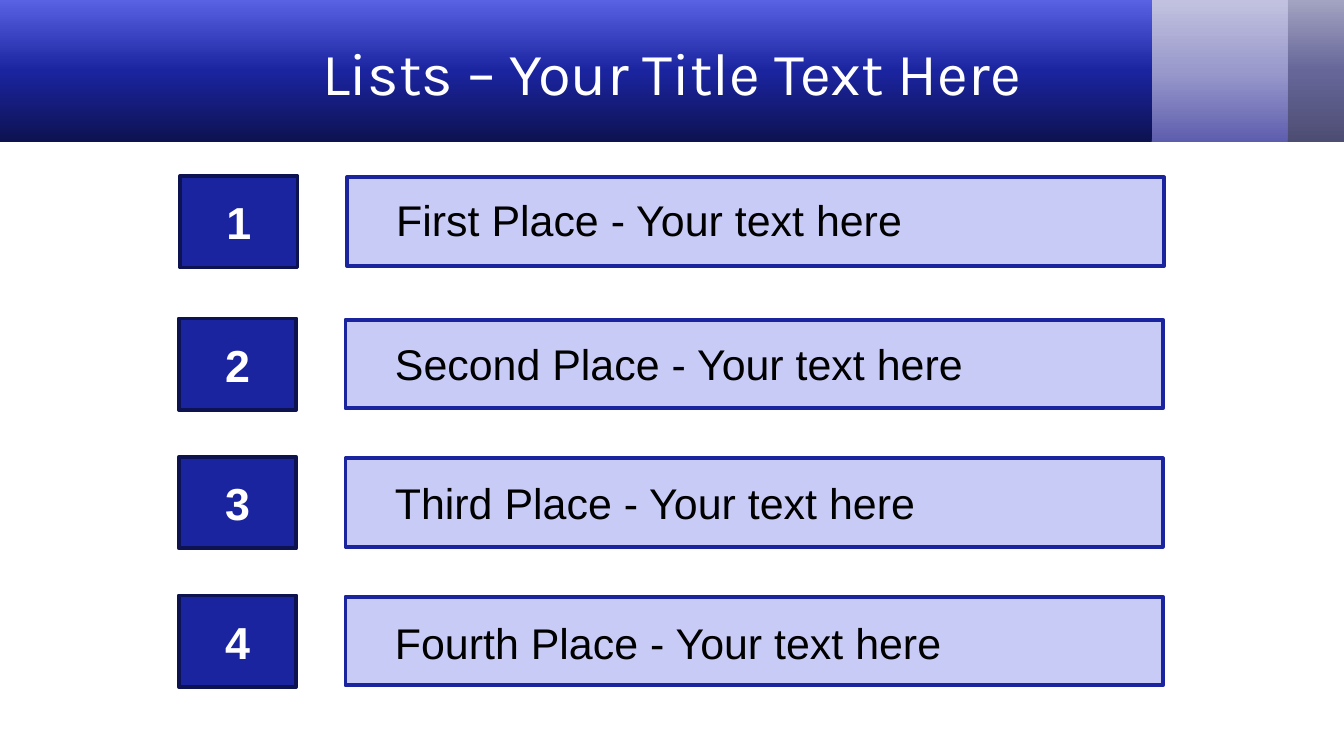
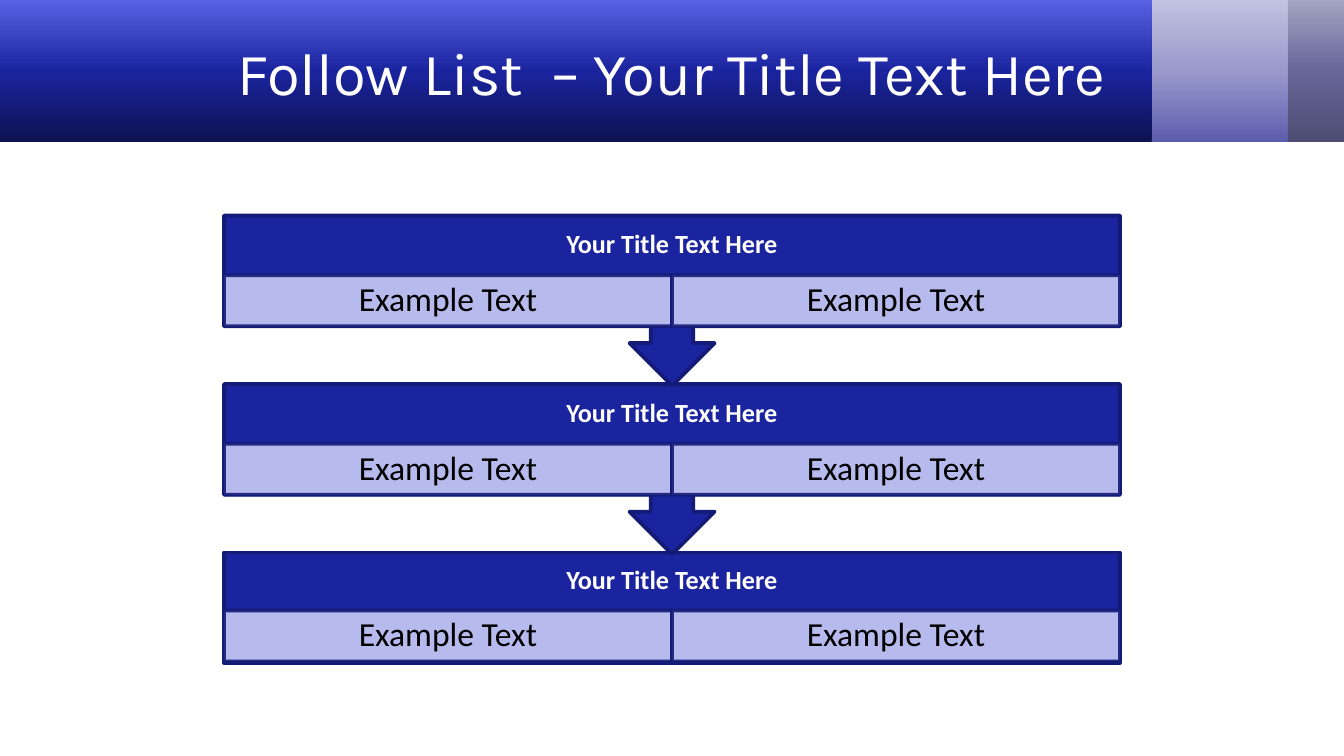
from copy import deepcopy

from lxml.etree import SubElement
from pptx import Presentation
from pptx.dml.color import RGBColor
from pptx.enum.shapes import MSO_SHAPE
from pptx.enum.text import MSO_ANCHOR, MSO_AUTO_SIZE, PP_ALIGN
from pptx.oxml.ns import qn
from pptx.util import Pt

COLORS = {
    "white": "FFFFFF", "black": "000000",
    "blue": "1B249F", "navy": "0D1250", "edge": "141B77", "pale": "C8CBF6",
}

# Title bands, back to front: left, width, gradient from bottom to top
BAND_HEIGHT = 76.3
BANDS = [
    (679, 41.8, ("4D4D73", "666699", "A3A3C2")),
    (614.2, 75.6, ("5D5DAE", "9999CC", "C2C2E0")),
    (0, 617, ("0D1250", "1B249F", "5962E3")),
]

LIST_TITLE = "Lists – Your Title Text Here"
# Text, left and top of the number, top of the text
PLACES = [
    ("First Place - Your text here", 96.5, 94.3, 100.1),
    ("Second Place - Your text here", 95.8, 170.6, 177.1),
    ("Third Place - Your text here", 95.8, 244.8, 252),
    ("Fourth Place - Your text here", 95.8, 319, 326.9),
]

FOLLOW_TITLE = "Follow List  – Your Title Text Here"
STEPS = [("Your Title Text Here", ("Example Text", "Example Text"))] * 3
STEP_LEFT, STEP_TOP, STEP_WIDTH, STEP_PITCH = 120, 115.4, 480, 90.3
CALLOUT_HEIGHT, BODY_HEIGHT, CELL_HEIGHT = 91.2, 59.2, 27.4


def rgb(name):
    return RGBColor.from_string(COLORS[name])


def add_box(slide, shape_type, box, fill, line):
    sp = slide.shapes.add_shape(shape_type, *map(Pt, box))
    sp.shadow.inherit = False
    sp.fill.solid()
    sp.fill.fore_color.rgb = rgb(fill)
    sp.line.color.rgb = rgb(line)
    sp.line.width = Pt(2)
    return sp


def add_textbox(slide, box):
    return slide.shapes.add_textbox(*map(Pt, box))


def write(sp, text, font, size, color, bold=False, align=PP_ALIGN.CENTER,
          anchor=MSO_ANCHOR.MIDDLE, insets=(7.2, 3.6), spacing=None):
    tf = sp.text_frame
    tf.word_wrap = True
    tf.vertical_anchor = anchor
    tf.margin_left = tf.margin_right = Pt(insets[0])
    tf.margin_top = tf.margin_bottom = Pt(insets[1])
    tf.text = text
    p = tf.paragraphs[0]
    p.alignment = align
    p.line_spacing = spacing
    f = p.runs[0].font
    f.name, f.size, f.bold = font, Pt(size), bold
    f.color.rgb = rgb(color)


def fade(sp, percent):
    """Make the fill and line of a shape partly transparent."""
    for clr in sp.element.spPr.iter(qn("a:srgbClr")):
        SubElement(clr, qn("a:alpha"), val=str(percent * 1000))


def add_band(slide, left, width, stops):
    sp = slide.shapes.add_shape(
        MSO_SHAPE.RECTANGLE, Pt(left), 0, Pt(width), Pt(BAND_HEIGHT))
    sp.shadow.inherit = False
    sp.line.fill.background()
    sp.fill.gradient()
    sp.fill.gradient_angle = 90
    first = sp.element.spPr.find(".//" + qn("a:gs"))
    first.addnext(deepcopy(first))
    for i, (stop, color) in enumerate(zip(sp.fill.gradient_stops, stops)):
        stop.position = i / 2
        stop.color.rgb = RGBColor.from_string(color)


def add_titled_slide(prs, title):
    slide = prs.slides.add_slide(prs.slide_layouts[6])
    for band in BANDS:
        add_band(slide, *band)
    write(add_textbox(slide, (36, 4.3, 648, 67.7)), title, "Karla", 32, "white")
    return slide


def add_place(slide, number, text, left, top, text_top):
    add_box(slide, MSO_SHAPE.RECTANGLE, (left + 89.3, top + 0.7, 437.8, 47.5),
            "pale", "blue")
    badge = add_box(slide, MSO_SHAPE.RECTANGLE, (left, top, 62.9, 49),
                    "blue", "navy")
    write(badge, str(number), "Arial", 24, "white", bold=True)
    label = add_textbox(slide, (left + 108.7, text_top, 360, 35.3))
    write(label, text, "Arial", 23, "black", align=PP_ALIGN.LEFT,
          anchor=MSO_ANCHOR.TOP)
    label.text_frame.auto_size = MSO_AUTO_SIZE.SHAPE_TO_FIT_TEXT


def add_step(slide, top, heading, cells, last):
    if last:
        shape_type, height, header_height = MSO_SHAPE.RECTANGLE, BODY_HEIGHT, 31
    else:
        shape_type, height, header_height = (
            MSO_SHAPE.UP_ARROW_CALLOUT, CALLOUT_HEIGHT, 32)
    body = add_box(slide, shape_type, (STEP_LEFT, top, STEP_WIDTH, height),
                   "blue", "edge")
    body.rotation = 0 if last else 180
    header = add_textbox(slide, (STEP_LEFT, top, STEP_WIDTH, header_height))
    write(header, heading, "Calibri", 14, "white", bold=True,
          insets=(7.9, 7.9), spacing=0.9)

    width = STEP_WIDTH / len(cells)
    for i, text in enumerate(cells):
        box = (STEP_LEFT + i * width, top + header_height, width, CELL_HEIGHT)
        cell = add_box(slide, MSO_SHAPE.RECTANGLE, box, "pale", "edge")
        fade(cell, 90)
        write(cell, text, "Calibri", 18, "black", insets=(10, 2.2), spacing=0.9)


def main():
    prs = Presentation()
    prs.slide_width, prs.slide_height = Pt(720), Pt(405)

    slide = add_titled_slide(prs, LIST_TITLE)
    for number, place in enumerate(PLACES, 1):
        add_place(slide, number, *place)

    slide = add_titled_slide(prs, FOLLOW_TITLE)
    # Bottom step first, so that each arrow tip lies over the step below
    for i in reversed(range(len(STEPS))):
        add_step(slide, STEP_TOP + i * STEP_PITCH, *STEPS[i],
                 last=i == len(STEPS) - 1)

    prs.save("out.pptx")


if __name__ == "__main__":
    main()
